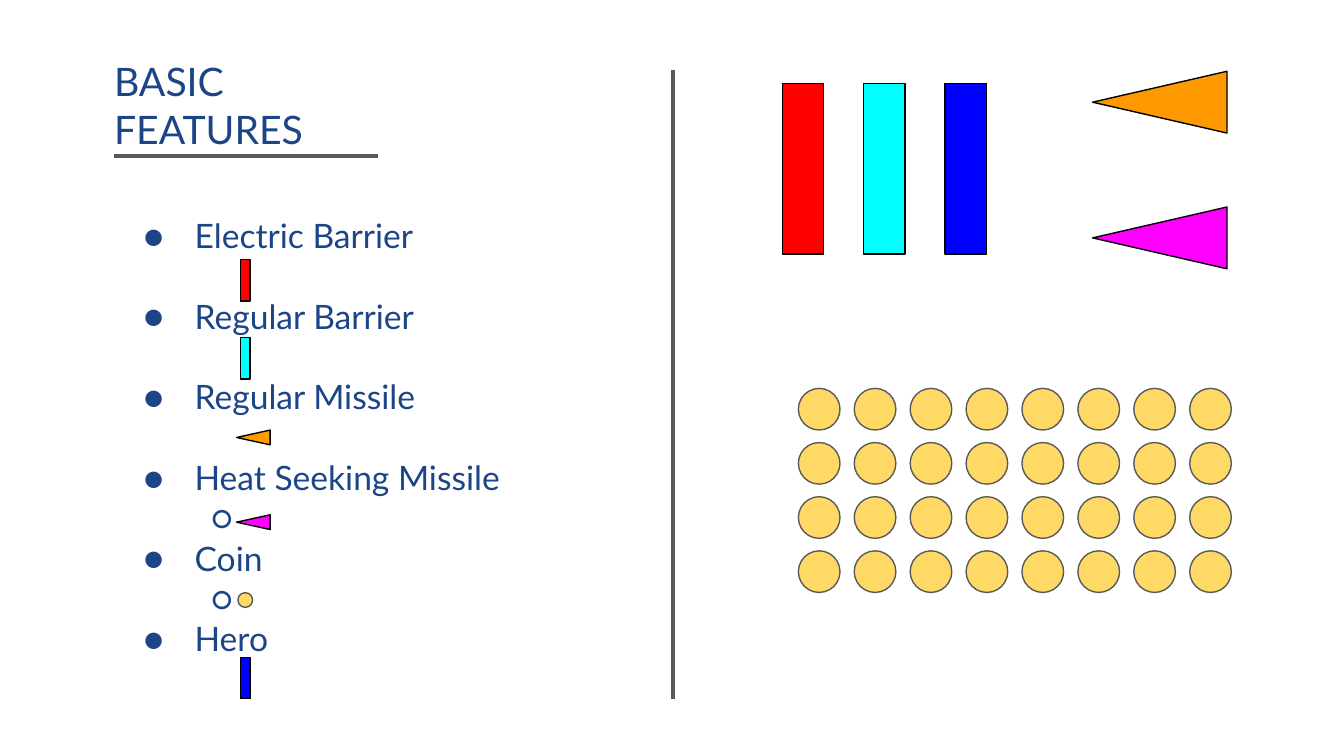
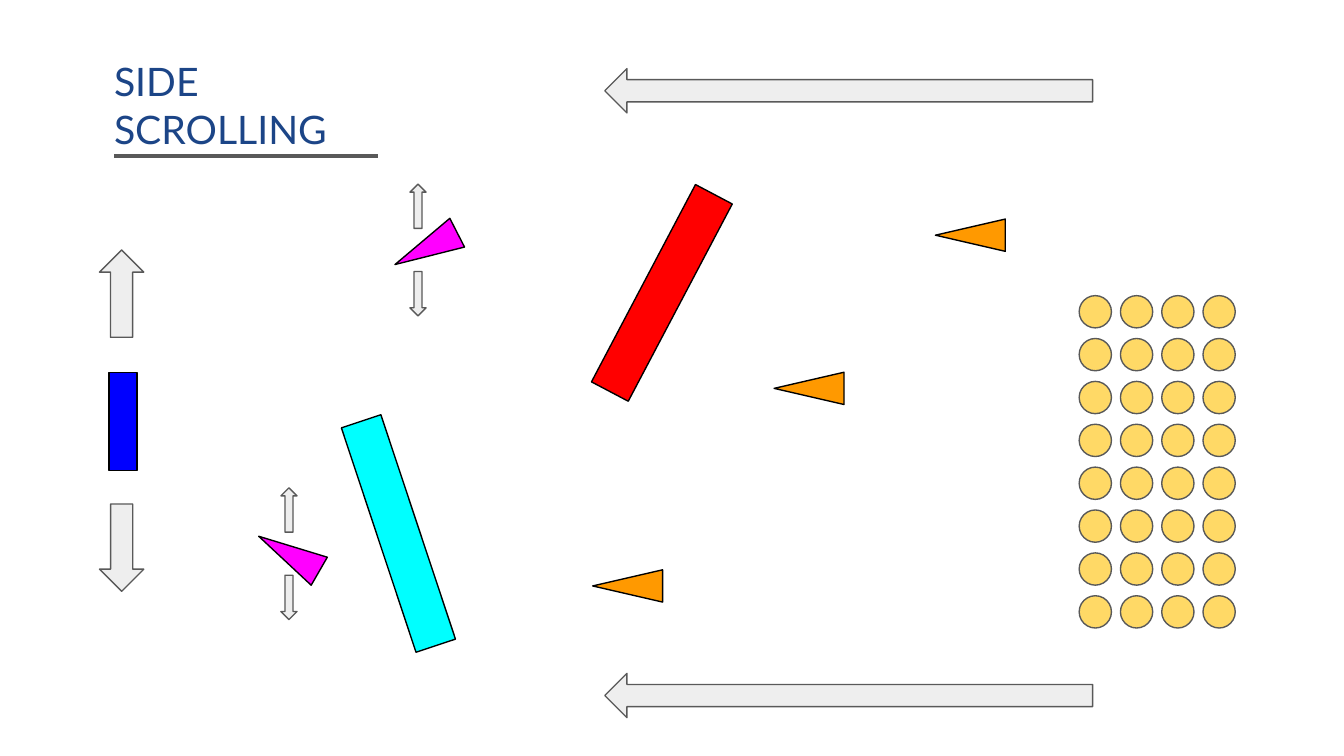
from lxml.etree import SubElement
from pptx import Presentation
from pptx.dml.color import RGBColor
from pptx.enum.shapes import MSO_CONNECTOR, MSO_SHAPE
from pptx.enum.text import MSO_ANCHOR, PP_ALIGN
from pptx.oxml.ns import qn
from pptx.util import Inches, Pt

COLUMNS = 100
ROWS = 56.25
FONT = "Lato"
NAVY = "1C4587"
GREY = "595959"
PALE = "EEEEEE"
BLACK = "000000"
RED = "FF0000"
CYAN = "00FFFF"
BLUE = "0000FF"
ORANGE = "FF9900"
MAGENTA = "FF00FF"
GOLD = "FFD966"


def color(value):
    return RGBColor.from_string(value)


class Board:
    def __init__(self, deck):
        self.deck = deck
        self.page = None

    def across(self, columns):
        return round(self.deck.slide_width * columns / COLUMNS)

    def down(self, rows):
        return round(self.deck.slide_height * rows / ROWS)

    def frame(self, left, top, width, height):
        return self.across(left), self.down(top), self.across(width), self.down(height)

    def start(self, *title):
        self.page = self.deck.slides.add_slide(self.deck.slide_layouts[6])
        text_frame = self.text_box(7.5, 3.3, 24.2, 43.5, title)
        for para in text_frame.paragraphs:
            self.style(para, 21)
        self.line(8.5, 11.6, 28.1, 11.6)

    def style(self, para, size):
        para.alignment = PP_ALIGN.LEFT
        for span in para.runs:
            span.font.name = FONT
            span.font.size = Pt(size)
            span.font.color.rgb = color(NAVY)

    def text_box(self, left, top, width, height, lines):
        box = self.page.shapes.add_textbox(*self.frame(left, top, width, height))
        text_frame = box.text_frame
        text_frame.word_wrap = True
        text_frame.vertical_anchor = MSO_ANCHOR.TOP
        text_frame.margin_left = text_frame.margin_right = Inches(0.1)
        text_frame.margin_top = text_frame.margin_bottom = Inches(0.1)
        text_frame.text = "\n".join(lines)
        return text_frame

    def bullets(self, left, top, width, height, items):
        text_frame = self.text_box(left, top, width, height, [text for text, level, gap in items])
        for para, (text, level, gap) in zip(text_frame.paragraphs, items):
            para.level = level
            properties = para._p.get_or_add_pPr()
            properties.set("marL", str(Inches(0.5 * (level + 1))))
            properties.set("indent", str(-Inches(0.38)))
            tint = SubElement(properties, qn("a:buClr"))
            SubElement(tint, qn("a:srgbClr")).set("val", NAVY)
            SubElement(properties, qn("a:buFont")).set("typeface", FONT)
            SubElement(properties, qn("a:buChar")).set("char", "●○"[level])
            self.style(para, 18)
            para.space_after = Pt(gap)

    def line(self, left, top, right, bottom):
        line = self.page.shapes.add_connector(
            MSO_CONNECTOR.STRAIGHT,
            self.across(left), self.down(top), self.across(right), self.down(bottom))
        line.line.color.rgb = color(GREY)
        line.line.width = Pt(2.25)
        SubElement(line._element.spPr, qn("a:effectLst"))

    def shape(self, kind, middle, center, width, height, fill, outline, turn=0):
        shape = self.page.shapes.add_shape(
            kind, *self.frame(middle - width / 2, center - height / 2, width, height))
        shape.rotation = turn
        shape.shadow.inherit = False
        shape.fill.solid()
        shape.fill.fore_color.rgb = color(fill)
        shape.line.color.rgb = color(outline)
        shape.line.width = Pt(0.75)

    def barrier(self, middle, center, width, height, fill, turn=0):
        self.shape(MSO_SHAPE.RECTANGLE, middle, center, width, height, fill, BLACK, turn)

    def missile(self, middle, center, width, length, fill, turn=270):
        self.shape(MSO_SHAPE.ISOSCELES_TRIANGLE, middle, center, width, length, fill, BLACK, turn)

    def arrow(self, middle, center, width, length, turn=0):
        self.shape(MSO_SHAPE.UP_ARROW, middle, center, width, length, PALE, GREY, turn)

    def up_and_down(self, middle, upper, lower, width, length):
        self.arrow(middle, upper, width, length)
        self.arrow(middle, lower, width, length, 180)

    def coins(self, middle, center, size, columns=1, rows=1, step_across=0, step_down=0):
        for row in range(rows):
            for column in range(columns):
                self.shape(MSO_SHAPE.OVAL, middle + column * step_across,
                           center + row * step_down, size, size, GOLD, GREY)


def basic_features(board):
    board.start("BASIC FEATURES")
    board.line(50.1, 5.2, 50.1, 52)
    board.bullets(8.5, 15, 34.8, 37.9, [
        ("Electric Barrier", 0, 21.6),
        ("Regular Barrier", 0, 21.6),
        ("Regular Missile", 0, 21.6),
        ("Heat Seeking Missile", 0, 0),
        (" ", 1, 0),
        ("Coin", 0, 0),
        (" ", 1, 0),
        ("Hero", 0, 0),
    ])
    for index, (fill, icon_center) in enumerate([(RED, 20.85), (CYAN, 26.65), (BLUE, 50.45)]):
        board.barrier(59.75 + 6.05 * index, 12.55, 3.1, 12.7, fill)
        board.barrier(18.25, icon_center, 0.7, 3.1, fill)
    for fill, center, icon_center in [(ORANGE, 7.6, 32.55), (MAGENTA, 17.7, 38.85)]:
        board.missile(86.3, center, 4.6, 10, fill)
        board.missile(18.85, icon_center, 1.1, 2.5, fill)
    board.coins(60.95, 30.45, 3.1, 8, 4, 4.16, 4.03)
    board.coins(18.25, 44.65, 1.1)


def side_scrolling(board):
    board.start("SIDE", "SCROLLING")
    board.barrier(49.25, 21.8, 3.1, 16.6, RED, 27.8)
    board.barrier(29.65, 39.7, 3.1, 17.6, CYAN, 341.6)
    board.barrier(9.15, 31.35, 2.1, 7.3, BLUE)
    for middle, center, turn in [(31.7, 18.5, 242.9), (21.5, 41.2, 300)]:
        board.missile(middle, center, 2.4, 5.2, MAGENTA, turn)
    for middle, center in [(72.2, 17.5), (60.2, 28.9), (46.7, 43.6)]:
        board.missile(middle, center, 2.4, 5.2, ORANGE)
    board.coins(81.5, 23.2, 2.4, 4, 8, 3.07, 3.19)
    board.up_and_down(9.05, 21.85, 40.75, 3.3, 6.5)
    board.up_and_down(31.1, 15.35, 21.85, 1.2, 3.3)
    board.up_and_down(21.5, 37.95, 44.45, 1.2, 3.3)
    for center in (6.75, 51.75):
        board.arrow(63.15, center, 3.3, 36.3, 270)


def main():
    deck = Presentation()
    deck.slide_width = Inches(10)
    deck.slide_height = Inches(5.625)
    board = Board(deck)
    basic_features(board)
    side_scrolling(board)
    deck.save("out.pptx")


if __name__ == "__main__":
    main()
